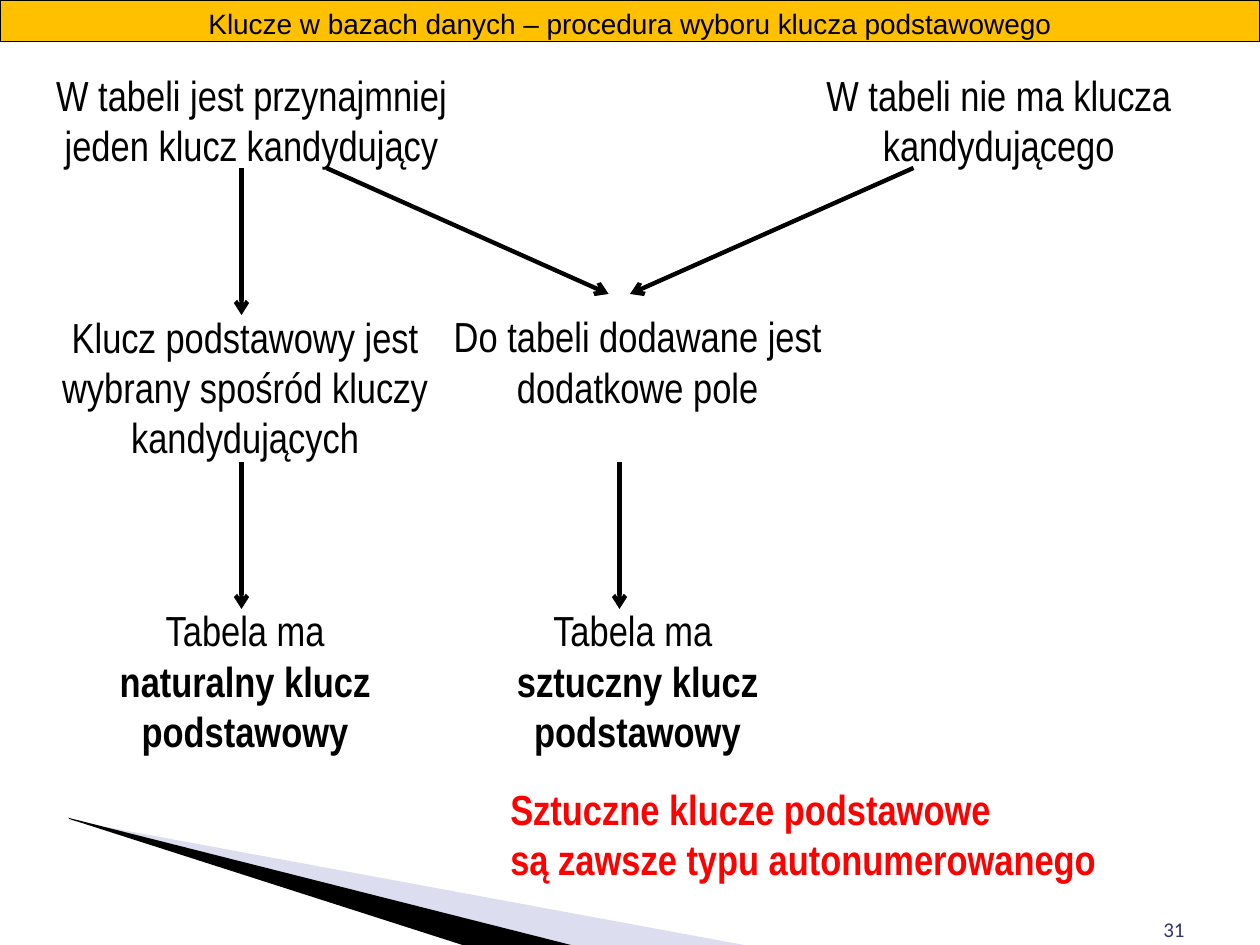
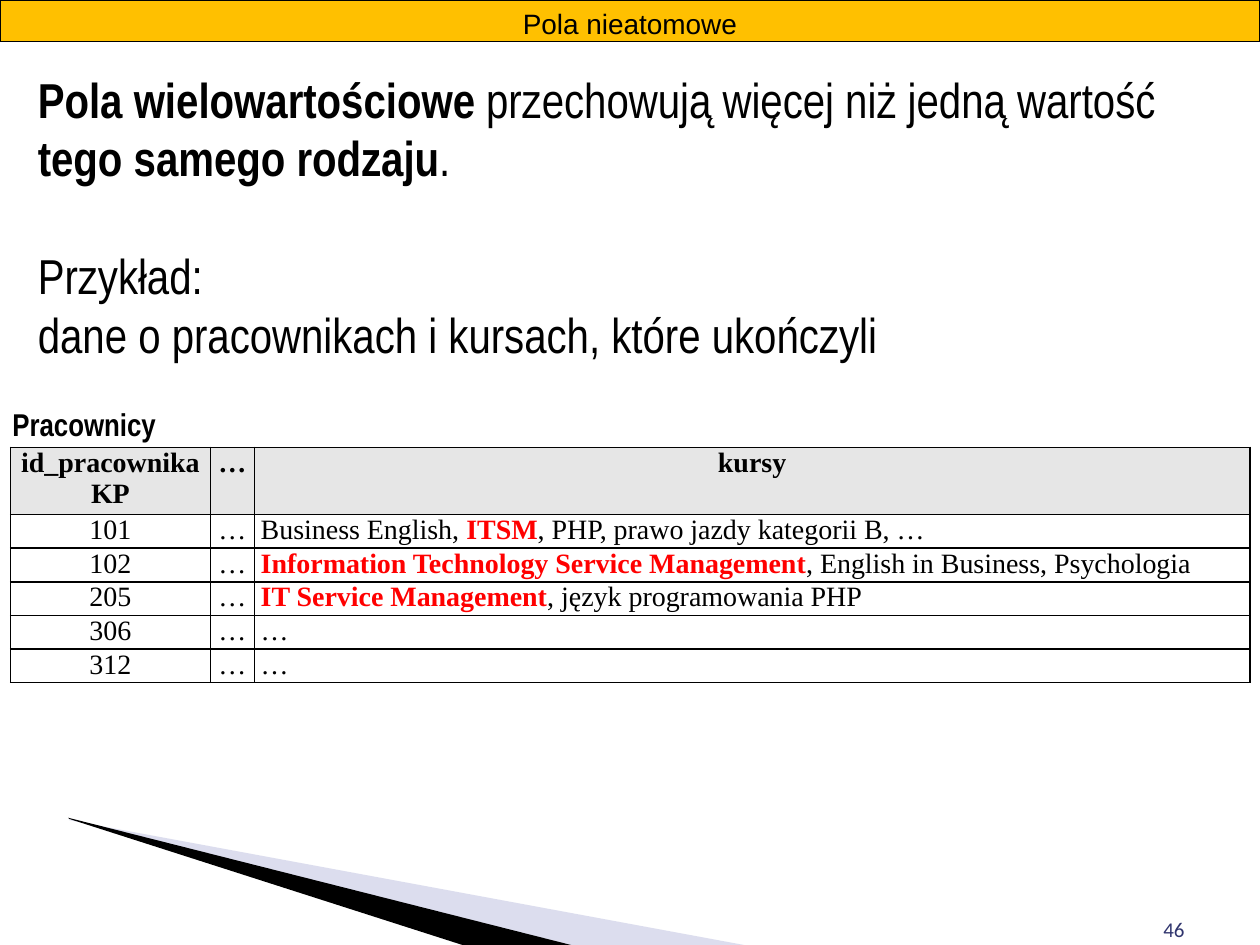
"""Build two slides on choosing primary keys and on non-atomic fields."""
from lxml.etree import SubElement as Sub
from pptx import Presentation
from pptx.dml.color import RGBColor as Rgb
from pptx.enum.shapes import MSO_CONNECTOR as Conn, MSO_SHAPE as Kind
from pptx.enum.text import MSO_ANCHOR as Anchor, PP_ALIGN as Align
from pptx.oxml import parse_xml
from pptx.oxml.ns import nsdecls, qn
from pptx.util import Pt

BLACK, RED = Rgb(0, 0, 0), Rgb(255, 0, 0)
GOLD, GREY = Rgb(0xFF, 0xC0, 0), Rgb(0xE6, 0xE6, 0xE6)
NAVY, LILAC = Rgb(0x30, 0x35, 0x6E), Rgb(0xA8, 0xAB, 0xD5)
LEFT, MID, RIGHT = Align.LEFT, Align.CENTER, Align.RIGHT

STYLES = {
    "band": {"name": "Arial", "size": Pt(16)},
    "page": {"name": "Calibri", "size": Pt(12)},
    "step": {"name": "Arial Narrow", "size": Pt(24)},
    "lead": {"name": "Arial Narrow", "size": Pt(28)},
    "label": {"name": "Arial Narrow", "size": Pt(18), "bold": True},
    "cell": {"name": "Times New Roman", "size": Pt(16)},
}
INSET = {"margin_left": Pt(3.6), "margin_right": Pt(3.6),
         "margin_top": Pt(3.6), "margin_bottom": Pt(3.6)}
CELL = {**INSET, "margin_top": 0, "margin_bottom": 0}

WEDGES = [
    (LILAC, 40, [(39.6, 468.7), (429.1, 540.7), (329, 540.7), (39.6, 468)]),
    (BLACK, 100, [(38.9, 467.3), (329, 540.7), (268.6, 541.4), (39.6, 468)]),
]

STEPS = [
    ((18, 36, 251.3, 72), MID,
     [("W tabeli jest przynajmniej jeden klucz kandydujący", "")]),
    ((445, 36, 251.3, 72), MID,
     [("W tabeli nie ma klucza kandydującego", "")]),
    ((18, 174.2, 244, 90), MID,
     [("Klucz podstawowy jest wybrany spośród kluczy kandydujących", "")]),
    ((242.6, 174.2, 243.4, 72), MID,
     [("Do tabeli dodawane jest dodatkowe pole", "")]),
    ((3.6, 342, 272.9, 72), MID,
     [("Tabela ma\n", ""), ("naturalny klucz podstawowy", "b")]),
    ((242.6, 342, 243.4, 72), MID,
     [("Tabela ma \n", ""), ("sztuczny klucz podstawowy", "b")]),
    ((288, 444.2, 378, 72), LEFT,
     [("Sztuczne klucze podstawowe\nsą zawsze typu autonumerowanego", "r")]),
]
ARROWS = [
    (138, 96, 138, 180), (186.5, 96, 347.8, 168), (522, 96, 360, 168),
    (138, 264, 138, 348), (354, 264, 354, 348),
]

LEAD = [
    [("Pola wielowartościowe ", "b"), ("przechowują więcej niż jedną wartość ", ""),
     ("tego samego rodzaju", "b"), (".", "")],
    [("Przykład:", "")],
    [("dane o pracownikach i kursach, które ukończyli", "")],
]
HEAD = [[[("id_pracownika", "b")], [("KP", "b")]],
        [[("…", "b")]], [[("kursy", "b")]]]
COURSES = [
    ("101", [("Business English, ", ""), ("ITSM", "r"),
             (", PHP, prawo jazdy kategorii B, …", "")]),
    ("102", [("Information Technology Service Management", "r"),
             (", English in Business, Psychologia", "")]),
    ("205", [("IT Service Management", "r"), (", język programowania PHP", "")]),
    ("306", [("…", "")]),
    ("312", [("…", "")]),
]
COLS = [114.2, 25.2, 568.8]
LINE = 17.8


def pts(*nums):
    return [Pt(n) for n in nums]


def apply(item, vals):
    for key, val in vals.items():
        setattr(item, key, val)


def write(frame, paras, style, align=LEFT, color=BLACK):
    for i, runs in enumerate(paras):
        para = frame.paragraphs[0] if i == 0 else frame.add_paragraph()
        para.alignment = align
        for text, mark in runs:
            for j, part in enumerate(text.split("\n")):
                if j:
                    para.add_line_break()
                if part:
                    run = para.add_run()
                    run.text = part
                    apply(run.font, {"bold": bool(mark), **STYLES[style]})
                    run.font.color.rgb = RED if mark == "r" else color


def add_text(slide, place, paras, style, align=LEFT, color=BLACK, **form):
    frame = slide.shapes.add_textbox(*pts(*place)).text_frame
    apply(frame, {"word_wrap": True, **form})
    write(frame, paras, style, align, color)
    return frame


def paint(shape, color):
    shape.shadow.inherit = False
    shape.fill.solid()
    shape.fill.fore_color.rgb = color


def add_base(deck, title, page):
    slide = deck.slides.add_slide(deck.slide_layouts[6])
    for color, alpha, dots in WEDGES:
        first, *rest = [pts(*dot) for dot in dots]
        path = slide.shapes.build_freeform(*first)
        path.add_line_segments(rest, close=True)
        wedge = path.convert_to_shape()
        paint(wedge, color)
        wedge.line.fill.background()
        if alpha < 100:
            tint = wedge._element.spPr.find(".//" + qn("a:srgbClr"))
            Sub(tint, qn("a:alpha"), val=str(alpha * 1000))
    add_text(slide, (516.2, 504, 167.8, 37.4), [[(page, "")]], "page",
             RIGHT, NAVY, vertical_anchor=Anchor.BOTTOM)
    band = slide.shapes.add_shape(Kind.RECTANGLE, *pts(0, 0, 720, 23.8))
    paint(band, GOLD)
    band.line.color.rgb = BLACK
    band.line.width = Pt(0.75)
    band.text_frame.vertical_anchor = Anchor.TOP
    write(band.text_frame, [[(title, "")]], "band", MID)
    return slide


def add_arrow(slide, ends):
    arrow = slide.shapes.add_connector(Conn.STRAIGHT, *pts(*ends))
    arrow.line.color.rgb = BLACK
    arrow.line.width = Pt(2.5)
    Sub(arrow.line._get_or_add_ln(), qn("a:tailEnd"), type="arrow")
    Sub(arrow._element.spPr, qn("a:effectLst"))


def add_edges(cell):
    prop = cell._tc.get_or_add_tcPr()
    for i, side in enumerate("LRTB"):
        prop.insert(i, parse_xml(
            f'<a:ln{side} w="12700" {nsdecls("a")}><a:solidFill>'
            f'<a:srgbClr val="{BLACK}"/></a:solidFill></a:ln{side}>'))


def add_grid(slide):
    rows = [HEAD] + [[[[(key, "")]], [[("…", "")]], [runs]]
                     for key, runs in COURSES]
    highs = [2 * LINE] + [LINE] * len(COURSES)
    grid = slide.shapes.add_table(
        len(rows), len(COLS), *pts(6, 255.6, sum(COLS), sum(highs))).table
    apply(grid, {"first_row": False, "horz_banding": False})
    for col, wide in zip(grid.columns, COLS):
        col.width = Pt(wide)
    for r, (row, high) in enumerate(zip(rows, highs)):
        grid.rows[r].height = Pt(high)
        for c, paras in enumerate(row):
            cell = grid.cell(r, c)
            apply(cell, CELL)
            if r == 0:
                cell.fill.solid()
                cell.fill.fore_color.rgb = GREY
            else:
                cell.fill.background()
            write(cell.text_frame, paras, "cell", LEFT if r and c == 2 else MID)
            add_edges(cell)


def main():
    deck = Presentation()
    apply(deck, {"slide_width": Pt(720), "slide_height": Pt(540)})

    flow = add_base(
        deck, "Klucze w bazach danych – procedura wyboru klucza podstawowego", "31")
    for place, align, runs in STEPS:
        add_text(flow, place, [runs], "step", align, **INSET)
    for ends in ARROWS:
        add_arrow(flow, ends)

    multi = add_base(deck, "Pola nieatomowe", "46")
    lead = add_text(multi, (18, 36, 689.8, 180), LEAD, "lead", **INSET)
    lead.paragraphs[1].space_before = Pt(33.4)
    add_grid(multi)
    add_text(multi, (0, 228.2, 97.9, 28.8), [[("Pracownicy", "b")]], "label",
             word_wrap=False)
    deck.save("out.pptx")


if __name__ == "__main__":
    main()
